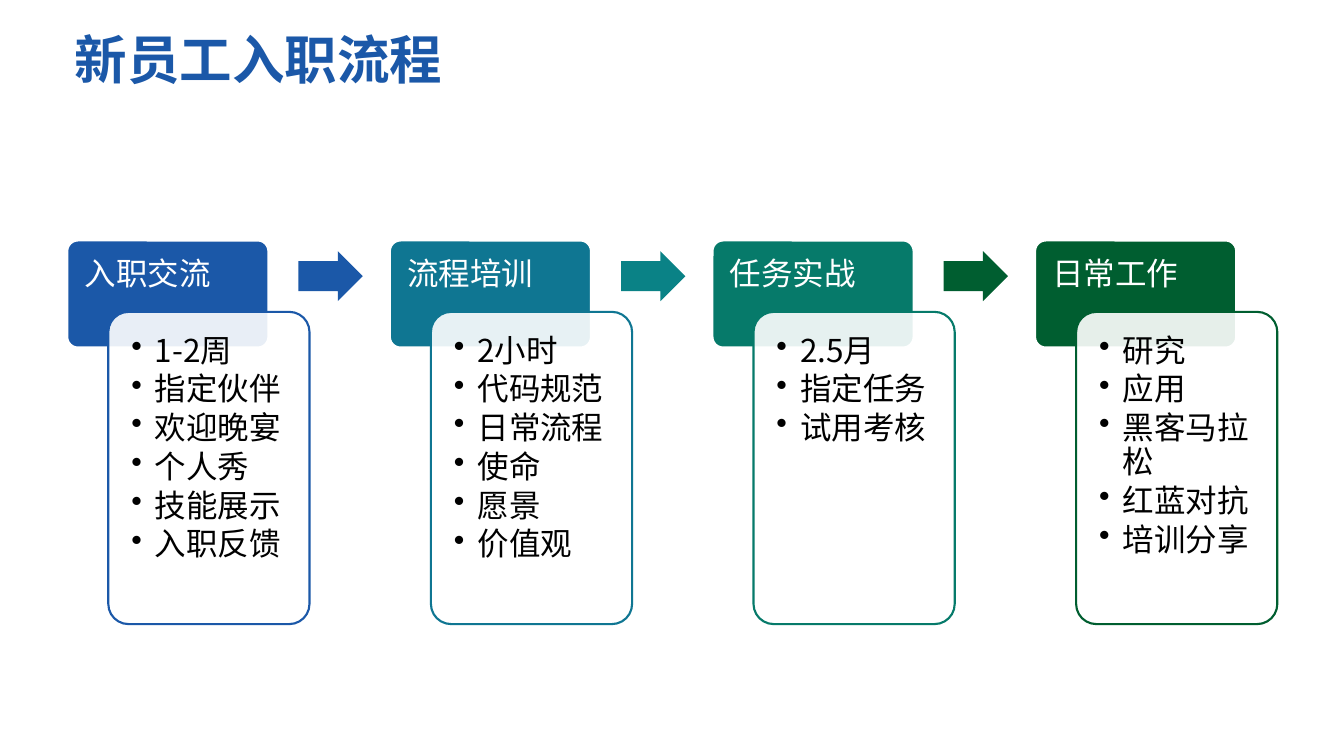
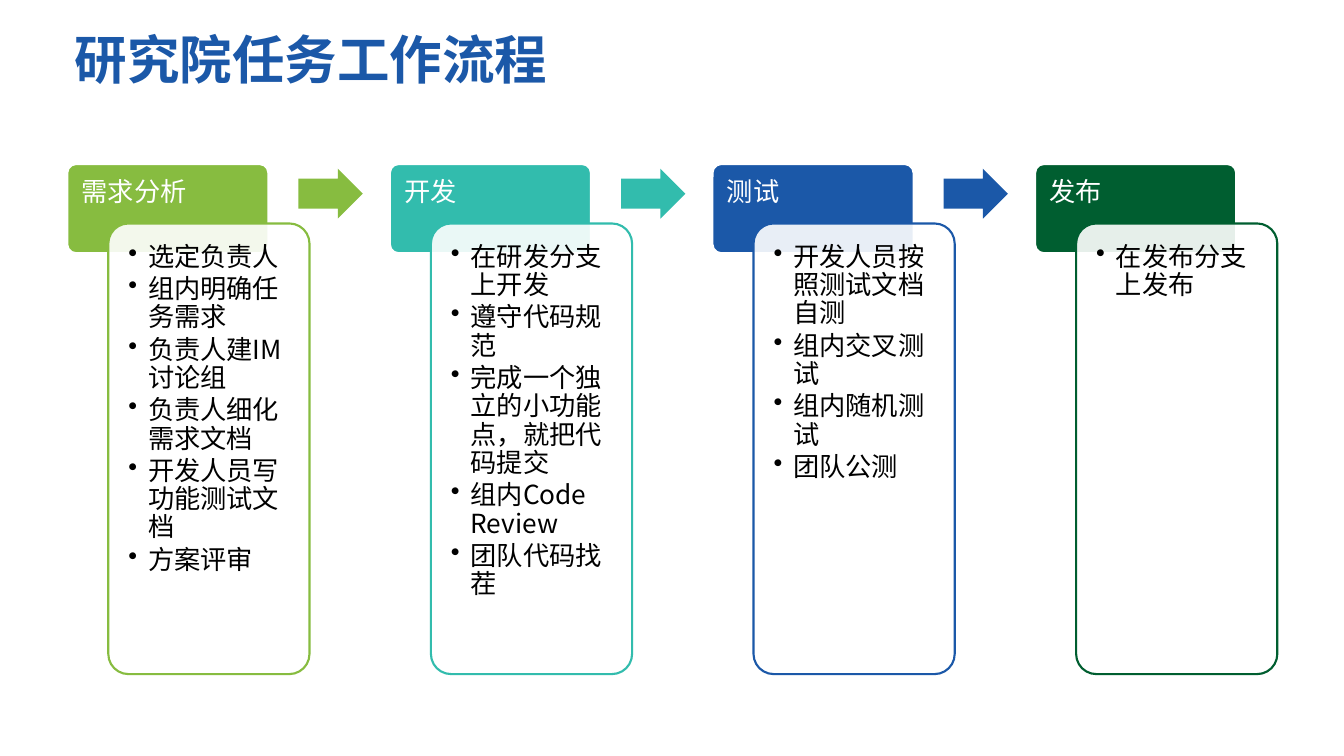
from lxml.etree import SubElement
from pptx import Presentation
from pptx.dml.color import RGBColor
from pptx.enum.shapes import MSO_SHAPE
from pptx.enum.text import MSO_ANCHOR, PP_ALIGN
from pptx.oxml.ns import qn
from pptx.util import Cm, Pt

FONT = "Noto Sans CJK SC"
WHITE = RGBColor(0xFF, 0xFF, 0xFF)
BLACK = RGBColor(0x00, 0x00, 0x00)
BLUE = RGBColor(0x1B, 0x58, 0xA8)
OCEAN = RGBColor(0x0F, 0x76, 0x92)
CYAN = RGBColor(0x0A, 0x82, 0x86)
TEAL = RGBColor(0x06, 0x7A, 0x6A)
GREEN = RGBColor(0x00, 0x5E, 0x30)
LIME = RGBColor(0x87, 0xBC, 0x40)
MINT = RGBColor(0x32, 0xBC, 0xAD)

LEFT = Cm(2.26)
STEP_PITCH = Cm(10.84)
CARD_WIDTH = Cm(6.76)
CARD_SHIFT = Cm(1.38)
CARD_PADDING = Cm(0.19)
ARROW_SHIFT, ARROW_WIDTH, ARROW_HEIGHT = Cm(7.77), Cm(2.16), Cm(1.68)

# Each step: heading, colour, colour of the arrow that follows, bullet points
ONBOARDING_STEPS = [
    ("入职交流", BLUE, BLUE,
     ["1-2周", "指定伙伴", "欢迎晚宴", "个人秀", "技能展示", "入职反馈"]),
    ("流程培训", OCEAN, CYAN,
     ["2小时", "代码规范", "日常流程", "使命", "愿景", "价值观"]),
    ("任务实战", TEAL, GREEN, ["2.5月", "指定任务", "试用考核"]),
    ("日常工作", GREEN, None,
     ["研究", "应用", "黑客马拉松", "红蓝对抗", "培训分享"]),
]
TASK_STEPS = [
    ("需求分析", LIME, LIME,
     ["选定负责人", "组内明确任务需求", "负责人建IM讨论组",
      "负责人细化需求文档", "开发人员写功能测试文档", "方案评审"]),
    ("开发", MINT, MINT,
     ["在研发分支上开发", "遵守代码规范", "完成一个独立的小功能点，就把代码提交",
      "组内Code Review", "团队代码找茬"]),
    ("测试", BLUE, BLUE,
     ["开发人员按照测试文档自测", "组内交叉测试", "组内随机测试", "团队公测"]),
    ("发布", GREEN, None, ["在发布分支上发布"]),
]


def add_text(shapes, box, lines, size, color, insets, bold=False, bullets=False):
    """Add a top-anchored text box; insets are left, top, right, bottom."""
    text_frame = shapes.add_textbox(*box).text_frame
    text_frame.word_wrap = True
    text_frame.vertical_anchor = MSO_ANCHOR.TOP
    (text_frame.margin_left, text_frame.margin_top,
     text_frame.margin_right, text_frame.margin_bottom) = insets
    text_frame.text = "\n".join(lines)
    for paragraph in text_frame.paragraphs:
        paragraph.alignment = PP_ALIGN.LEFT
        paragraph.line_spacing = 0.9
        if bullets:
            add_bullet(paragraph, size)
        for run in paragraph.runs:
            run.font.size = Pt(size)
            run.font.bold = bold
            run.font.name = FONT
            run.font.color.rgb = color
            SubElement(run.font._element, qn("a:ea")).set("typeface", FONT)


def add_bullet(paragraph, size):
    paragraph.level = 1
    paragraph.space_after = Pt(0.15 * size)
    properties = paragraph._p.get_or_add_pPr()
    indent = int(0.75 * Pt(size))
    properties.set("marL", str(indent))
    properties.set("indent", str(-indent))
    SubElement(properties, qn("a:buChar")).set("char", "•")


def add_block(shapes, kind, box, adjustments, fill, line=None, opacity=None):
    shape = shapes.add_shape(kind, *box)
    shape.shadow.inherit = False
    for index, value in enumerate(adjustments):
        shape.adjustments[index] = value
    shape.fill.solid()
    shape.fill.fore_color.rgb = fill
    if opacity:
        color = shape.fill._xPr.find(qn("a:solidFill"))[0]
        SubElement(color, qn("a:alpha")).set("val", str(opacity * 1000))
    if line is None:
        shape.line.fill.background()
    else:
        shape.line.color.rgb = line
        shape.line.width = Pt(2)


def add_step(shapes, left, top, card_height, size, step):
    """Draw a heading tab, the card that overlaps it and the arrow onward."""
    heading, color, arrow_color, points = step
    em = Pt(size)
    tab_height = int(3.4 * em)
    heading_height = tab_height * 2 // 3
    inset = int(0.55 * em)

    # Heading tab
    add_block(shapes, MSO_SHAPE.ROUNDED_RECTANGLE,
              (left, top, CARD_WIDTH, tab_height), [0.1], color, WHITE)
    add_text(shapes, (left, top, CARD_WIDTH, heading_height), [heading], size,
             WHITE, (inset, inset, inset, inset // 2))

    # Card with bullet points
    card_left, card_top = left + CARD_SHIFT, top + heading_height
    add_block(shapes, MSO_SHAPE.ROUNDED_RECTANGLE,
              (card_left, card_top, CARD_WIDTH, card_height), [0.1], WHITE,
              color, opacity=90)
    add_text(shapes,
             (card_left + CARD_PADDING, card_top + CARD_PADDING,
              CARD_WIDTH - 2 * CARD_PADDING, card_height - 2 * CARD_PADDING),
             points, size, BLACK, (inset,) * 4, bullets=True)

    # Arrow to the next step
    if arrow_color is not None:
        arrow_top = top + (heading_height - ARROW_HEIGHT) // 2
        add_block(shapes, MSO_SHAPE.RIGHT_ARROW,
                  (left + ARROW_SHIFT, arrow_top, ARROW_WIDTH, ARROW_HEIGHT),
                  [0.6, 0.5], arrow_color)


def add_process_slide(presentation, title, steps, top, card_height, size):
    slide = presentation.slides.add_slide(presentation.slide_layouts[6])
    add_text(slide.shapes, (LEFT, Cm(1.02), Cm(40.64), Cm(4.24)), [title], 50,
             BLUE, (Cm(0.25), Cm(0.13), Cm(0.25), Cm(0.13)), bold=True)
    process = slide.shapes.add_group_shape()
    for index, step in enumerate(steps):
        add_step(process.shapes, LEFT + index * STEP_PITCH, top, card_height,
                 size, step)


def main():
    presentation = Presentation()
    presentation.slide_width = Cm(45.16)
    presentation.slide_height = Cm(25.4)
    add_process_slide(presentation, "新员工入职流程", ONBOARDING_STEPS,
                      Cm(8.08), Cm(10.49), 30)
    add_process_slide(presentation, "研究院任务工作流程", TASK_STEPS,
                      Cm(5.51), Cm(15.14), 25)
    presentation.save("out.pptx")


if __name__ == "__main__":
    main()
